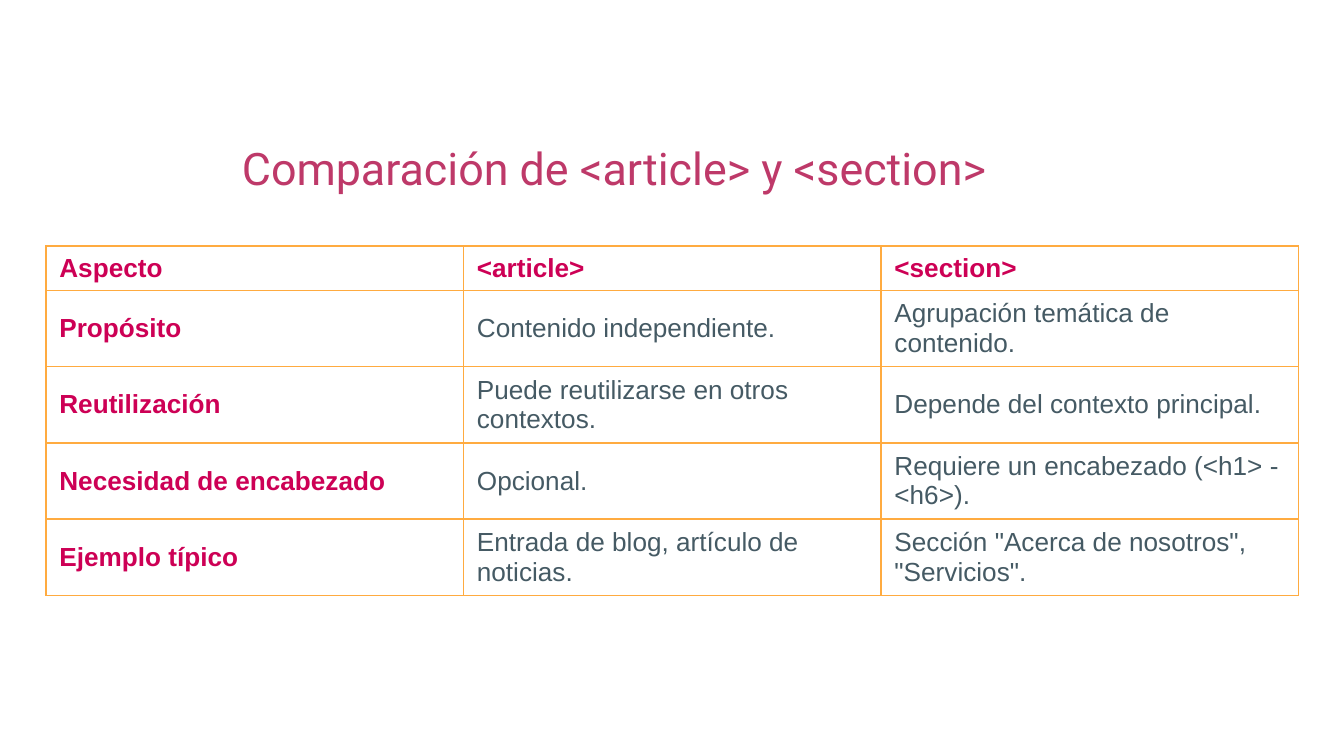
import pptx
import pptx.util
import pptx.dml.color
import pptx.enum.text
import pptx.oxml
import pptx.oxml.ns
from dataclasses import dataclass

Pt = pptx.util.Pt


@dataclass
class Theme:
    title: str = "BE3969"
    label: str = "CD0055"
    body: str = "455A64"
    border: str = "FFAB40"
    head: int = 24
    text: int = 14


theme = Theme()


def add_text(frame, text, font, size, color, bold=False):
    frame.word_wrap = True
    frame.vertical_anchor = pptx.enum.text.MSO_ANCHOR.MIDDLE
    line = frame.paragraphs[0]
    line.alignment = pptx.enum.text.PP_ALIGN.LEFT
    run = line.add_run()
    run.text = text
    run.font.name = font
    run.font.size = Pt(size)
    run.font.bold = bold
    run.font.color.rgb = pptx.dml.color.RGBColor.from_string(color)


def add_border(cell):
    props = cell._tc.get_or_add_tcPr()
    for index, side in enumerate(("lnL", "lnR", "lnT", "lnB")):
        props.insert(index, pptx.oxml.parse_xml(
            f'<a:{side} {pptx.oxml.ns.nsdecls("a")} w="{Pt(1)}">'
            f'<a:solidFill><a:srgbClr val="{theme.border}"/></a:solidFill>'
            f'</a:{side}>'))


deck = pptx.Presentation()
deck.slide_width, deck.slide_height = Pt(720), Pt(405)
slide = deck.slides.add_slide(deck.slide_layouts[5])

title = slide.shapes.title
title.left, title.top, title.width, title.height = Pt(122.4), Pt(72), Pt(482.4), Pt(36)
add_text(title.text_frame, "Comparación de <article> y <section>", "Roboto", theme.head, theme.title)

rows = [
    ("Aspecto", "<article>", "<section>"),
    ("Propósito", "Contenido independiente.", "Agrupación temática de contenido."),
    ("Reutilización", "Puede reutilizarse en otros contextos.", "Depende del contexto principal."),
    ("Necesidad de encabezado", "Opcional.", "Requiere un encabezado (<h1> - <h6>)."),
    ("Ejemplo típico", "Entrada de blog, artículo de noticias.", 'Sección "Acerca de nosotros", "Servicios".'),
]
first, rest = 23.8, 40.85
height = first + rest * (len(rows) - 1)
table = slide.shapes.add_table(len(rows), 3, Pt(24.6), Pt(131.8), Pt(671.1), Pt(height)).table
table.first_row = False
table.horz_banding = False
for column in table.columns:
    column.width = Pt(223.7)

for r, row in enumerate(rows):
    table.rows[r].height = Pt(rest if r else first)
    for c, text in enumerate(row):
        cell = table.cell(r, c)
        cell.fill.background()
        add_border(cell)
        cell.vertical_anchor = pptx.enum.text.MSO_ANCHOR.MIDDLE
        label = r == 0 or c == 0
        add_text(cell.text_frame, text, "Arial", theme.text, theme.label if label else theme.body, label)

deck.save("out.pptx")
